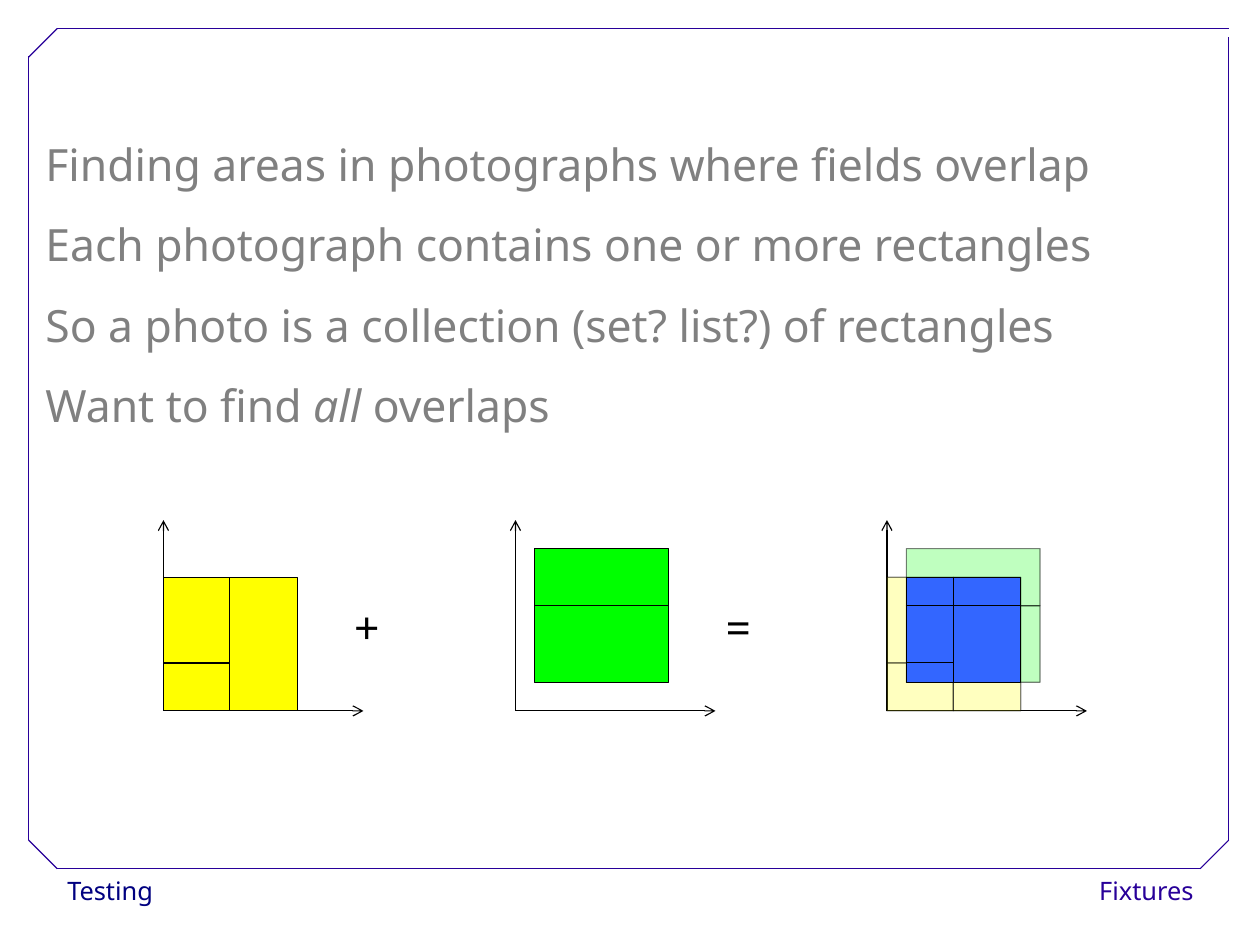
from itertools import product

from lxml.etree import SubElement
from pptx import Presentation
from pptx.dml.color import RGBColor
from pptx.enum.shapes import MSO_CONNECTOR, MSO_SHAPE
from pptx.enum.text import MSO_ANCHOR, PP_ALIGN
from pptx.oxml.ns import qn
from pptx.util import Inches, Pt

COLORS = {
    "frame": "280099", "navy": "000080", "gray": "808080",
    "black": "000000", "white": "FFFFFF",
    "yellow": "FFFF00", "green": "00FF00", "blue": "3366FF",
}
FONT = "Noto Sans"

# The page is 28 by 21 centimetres.
WIDTH, HEIGHT = 28 / 2.54, 21 / 2.54

# Fields as left, bottom, right, top, measured from the origin of the axes.
YELLOW = [(0, 0.42, 0.58, 1.17), (0.58, 0, 1.17, 1.17), (0, 0, 0.58, 0.42)]
GREEN = [(0.17, 0.92, 1.34, 1.42), (0.17, 0.25, 1.34, 0.92)]
BASE = 6.22

FRAME = [
    (0.5, 7.6, 10.5, 7.6), (0.25, 7.35, 0.25, 0.49),
    (0.5, 0.25, 10.75, 0.25), (10.75, 7.35, 10.75, 0.32),
    (0.25, 0.5, 0.5, 0.25), (10.5, 7.6, 10.75, 7.35),
    (0.25, 7.35, 0.5, 7.6),
]
POINTS = [
    [("Finding areas in photographs where fields overlap", False)],
    [("Each photograph contains one or more rectangles", False)],
    [("So a photo is a collection (set? list?) of rectangles", False)],
    [("Want to find ", False), ("all", True), (" overlaps", False)],
]


def rgb(name):
    return RGBColor.from_string(COLORS[name])


def add_text(slide, box, paras, size, color, space, align=PP_ALIGN.LEFT):
    """Add paragraphs, each a list of (words, italic) runs."""
    shape = slide.shapes.add_textbox(*map(Inches, box))
    frame = shape.text_frame
    frame.word_wrap = True
    frame.vertical_anchor = MSO_ANCHOR.TOP
    for i, runs in enumerate(paras):
        para = frame.add_paragraph() if i else frame.paragraphs[0]
        para.alignment = align
        para.line_spacing = space
        for words, italic in runs:
            run = para.add_run()
            run.text = words
            run.font.name = FONT
            run.font.size = Pt(size)
            run.font.italic = italic
            run.font.color.rgb = rgb(color)
    return shape


def add_label(slide, box, words, color, align):
    shape = add_text(slide, box, [[(words, False)]], 16, color, 1.02, align)
    shape.fill.solid()
    shape.fill.fore_color.rgb = rgb("white")


def add_line(slide, ends, color, arrow=False):
    line = slide.shapes.add_connector(MSO_CONNECTOR.STRAIGHT, *map(Inches, ends))
    line.line.color.rgb = rgb(color)
    line.line.width = Pt(0.75)
    props = line._element.spPr
    if arrow:
        SubElement(props.find(qn("a:ln")), qn("a:tailEnd"), type="arrow")
    SubElement(props, qn("a:effectLst"))


def add_axes(slide, x):
    add_line(slide, (x, BASE, x + 1.75, BASE), "black", True)
    add_line(slide, (x, BASE, x, BASE - 1.67), "black", True)


def set_alpha(fill, percent):
    SubElement(fill.find(".//" + qn("a:srgbClr")), qn("a:alpha"),
               val=str(percent * 1000))


def add_fields(slide, x, fields, color, faded=False):
    for left, low, right, top in fields:
        box = (x + left, BASE - top, right - left, top - low)
        shape = slide.shapes.add_shape(MSO_SHAPE.RECTANGLE, *map(Inches, box))
        shape.shadow.inherit = False
        shape.fill.solid()
        shape.fill.fore_color.rgb = rgb(color)
        shape.line.color.rgb = rgb("black")
        shape.line.width = Pt(0.75)
        if faded:
            props = shape._element.spPr
            set_alpha(props.find(qn("a:solidFill")), 25)
            set_alpha(props.find(qn("a:ln")), 50)


def find_overlaps(first, second):
    for a, b in product(first, second):
        left, low = max(a[0], b[0]), max(a[1], b[1])
        right, top = min(a[2], b[2]), min(a[3], b[3])
        if left < right and low < top:
            yield left, low, right, top


def main():
    deck = Presentation()
    deck.slide_width = Inches(WIDTH)
    deck.slide_height = Inches(HEIGHT)
    slide = deck.slides.add_slide(deck.slide_layouts[6])

    add_label(slide, (0.49, 7.6, 2.15, 0.4), "Testing", "navy", PP_ALIGN.LEFT)
    add_label(slide, (9.14, 7.6, 1.4, 0.4), "Fixtures", "frame", PP_ALIGN.RIGHT)
    for ends in FRAME:
        add_line(slide, ends, "frame")
    add_text(slide, (0.3, 0.92, 10.37, 2.9), POINTS, 28, "gray", 1.5)

    for x, fields, color in ((1.43, YELLOW, "yellow"), (4.51, GREEN, "green")):
        add_fields(slide, x, fields, color)
        add_axes(slide, x)

    total = 7.76
    add_axes(slide, total)
    add_fields(slide, total, YELLOW, "yellow", True)
    add_fields(slide, total, GREEN, "green", True)
    add_fields(slide, total, find_overlaps(YELLOW, GREEN), "blue")

    for x, sign in ((3, "+"), (6.25, "=")):
        add_text(slide, (x, 4.97, 1.42, 0.8), [[(sign, False)]], 28, "black", 1.5)
    deck.save("out.pptx")


if __name__ == "__main__":
    main()
